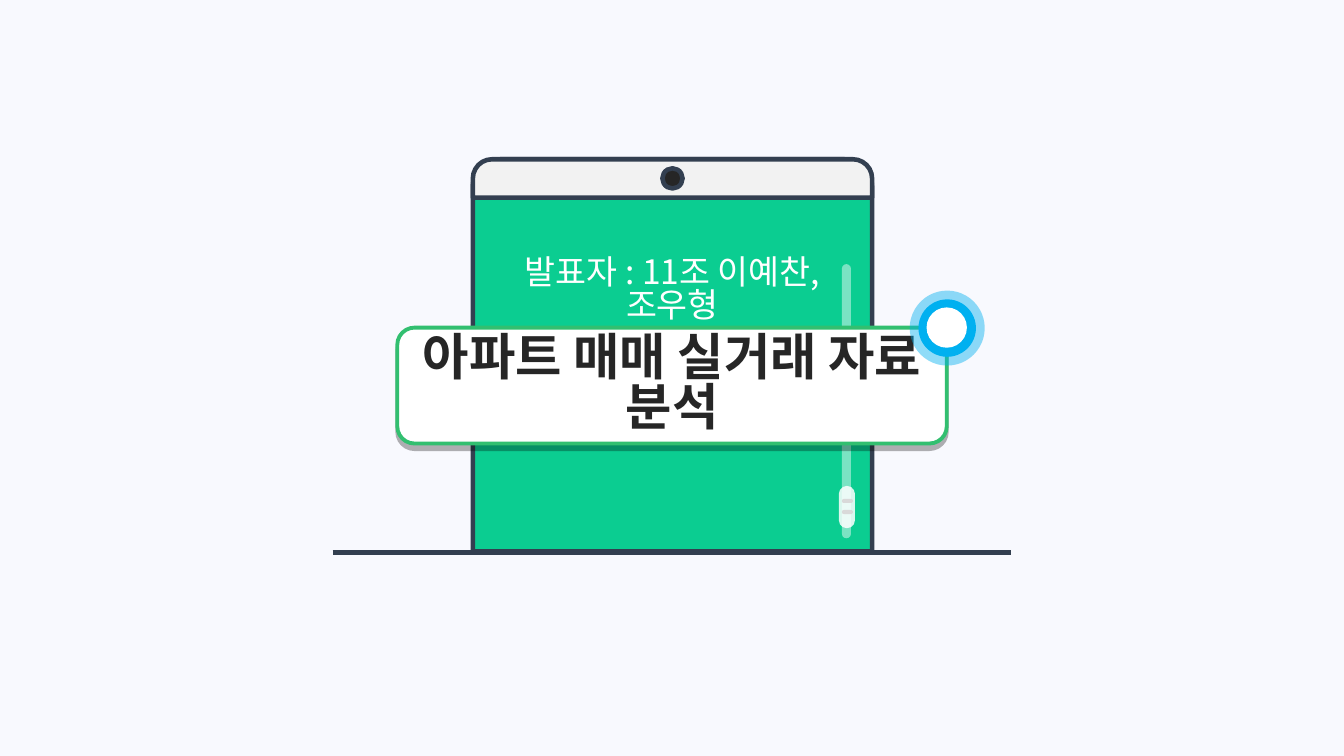
from dataclasses import dataclass

from lxml import etree
from pptx import Presentation
from pptx.dml.color import RGBColor
from pptx.enum.shapes import MSO_CONNECTOR, MSO_SHAPE
from pptx.enum.text import MSO_ANCHOR, MSO_AUTO_SIZE, PP_ALIGN
from pptx.oxml.ns import qn
from pptx.util import Inches, Pt

ROUND = MSO_SHAPE.ROUNDED_RECTANGLE
ROUND_TOP = MSO_SHAPE.ROUND_2_SAME_RECTANGLE
OVAL = MSO_SHAPE.OVAL
STRAIGHT = MSO_CONNECTOR.STRAIGHT
CENTER = PP_ALIGN.CENTER
TOP, MIDDLE = MSO_ANCHOR.TOP, MSO_ANCHOR.MIDDLE
NO_AUTOFIT = MSO_AUTO_SIZE.NONE


@dataclass(frozen=True)
class Theme:
    font: str = "Noto Sans CJK KR"
    background: str = "F8F9FE"
    screen: str = "0BCD91"
    outline: str = "333F50"
    card_border: str = "32BF70"
    white: str = "FFFFFF"
    ink: str = "262626"
    bezel: str = "F2F2F2"
    grip: str = "D9D9D9"
    badge: str = "00B0F0"
    shadow: str = "000000"
    title_size: float = 36
    presenter_size: float = 24
    outline_width: float = 3.25
    card_width: float = 2.75
    badge_width: float = 12.5
    line_spacing: float = 0.82


THEME = Theme()


def rgb(value):
    return RGBColor.from_string(value)


def set_alpha(fill, percent):
    """Make a solid fill see-through; percent is its opacity."""
    color = fill._xPr.find(qn("a:solidFill"))[0]
    etree.SubElement(color, qn("a:alpha"), val=str(percent * 1000))


def add_shape(s, kind, box, fill, adj=(), line=None, width=THEME.outline_width,
              fill_alpha=None, line_alpha=None):
    shape = s.shapes.add_shape(kind, *map(Inches, box))
    shape.shadow.inherit = False
    for i, value in enumerate(adj):
        shape.adjustments[i] = value
    shape.fill.solid()
    shape.fill.fore_color.rgb = rgb(fill)
    if fill_alpha:
        set_alpha(shape.fill, fill_alpha)
    if line:
        shape.line.color.rgb = rgb(line)
        shape.line.width = Pt(width)
        if line_alpha:
            set_alpha(shape.line.fill, line_alpha)
    else:
        shape.line.fill.background()
    return shape


def add_drop_shadow(shape):
    effects = shape._element.spPr.find(qn("a:effectLst"))
    shadow = etree.SubElement(effects, qn("a:outerShdw"), blurRad="0", dist=str(Pt(4)),
                              dir="5400000", algn="t", rotWithShape="0")
    color = etree.SubElement(shadow, qn("a:srgbClr"), val=THEME.shadow)
    etree.SubElement(color, qn("a:alpha"), val="30000")


def add_ground_line(s, x1, x2, y):
    line = s.shapes.add_connector(STRAIGHT, *map(Inches, (x1, y, x2, y)))
    line.line.color.rgb = rgb(THEME.outline)
    line.line.width = Pt(THEME.outline_width)
    etree.SubElement(line._element.spPr, qn("a:effectLst"))


def write(shape, text, size, color, anchor, bold=False, top=0.05):
    tf = shape.text_frame
    tf.text = text
    tf.word_wrap = True
    tf.auto_size = NO_AUTOFIT
    tf.vertical_anchor = anchor
    tf.margin_top = Inches(top)
    p = tf.paragraphs[0]
    p.alignment = CENTER
    p.line_spacing = THEME.line_spacing
    font = p.runs[0].font
    font.name, font.size, font.bold = THEME.font, Pt(size), bold
    font.color.rgb = rgb(color)
    etree.SubElement(font._element, qn("a:ea"), typeface=THEME.font)


def place_title(s, text, box):
    """Put the title on top of everything drawn so far."""
    title = s.shapes.title
    title.left, title.top, title.width, title.height = map(Inches, box)
    write(title, text, THEME.title_size, THEME.ink, MIDDLE, bold=True)
    s.shapes._spTree.append(title._element)


def add_badge(s):
    add_shape(s, OVAL, (9.11, 2.97, 0.57, 0.57), THEME.badge, line=THEME.badge,
              width=THEME.badge_width, line_alpha=44)
    add_shape(s, OVAL, (9.19, 3.05, 0.4, 0.4), THEME.white)


def add_scroll_handle(s):
    add_shape(s, ROUND, (8.32, 4.82, 0.16, 0.42), THEME.white, (0.5,), fill_alpha=85)
    for y in (4.95, 5.06):
        add_shape(s, ROUND, (8.35, y, 0.11, 0.04), THEME.grip, (0.5,))


def main():
    prs = Presentation()
    prs.slide_width, prs.slide_height = Inches(13.33), Inches(7.5)
    s = prs.slides.add_slide(prs.slide_layouts[5])
    s.background.fill.solid()
    s.background.fill.fore_color.rgb = rgb(THEME.background)

    screen = add_shape(s, ROUND_TOP, (4.69, 1.58, 3.96, 3.89), THEME.screen,
                       (0.071, 0), THEME.outline)
    write(screen, "발표자 : 11조 이예찬, 조우형", THEME.presenter_size, THEME.white,
          TOP, top=0.9)
    add_ground_line(s, 3.3, 10.03, 5.48)
    add_shape(s, ROUND, (8.35, 2.62, 0.09, 2.72), THEME.white, (0.5,), fill_alpha=46)

    card_box = (3.94, 3.25, 5.45, 1.15)
    card = add_shape(s, ROUND, card_box, THEME.white, (0.149,), THEME.card_border,
                     THEME.card_width)
    add_drop_shadow(card)
    place_title(s, "아파트 매매 실거래 자료 분석", card_box)

    add_badge(s)
    add_scroll_handle(s)
    add_shape(s, ROUND_TOP, (4.69, 1.58, 3.96, 0.38), THEME.bezel, (0.5, 0), THEME.outline)
    add_shape(s, OVAL, (6.57, 1.67, 0.2, 0.2), THEME.ink, line=THEME.outline)
    prs.save("out.pptx")


if __name__ == "__main__":
    main()
